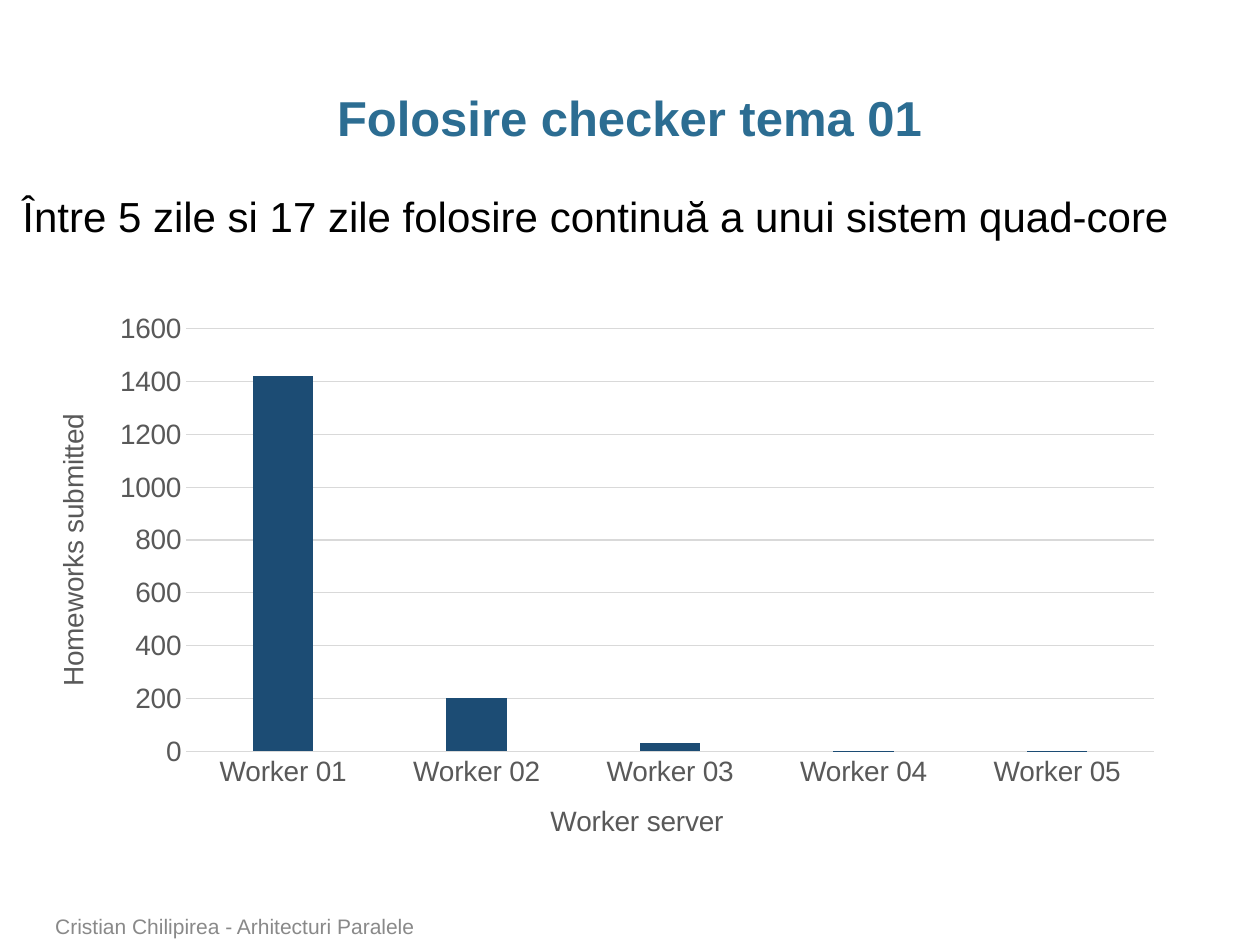
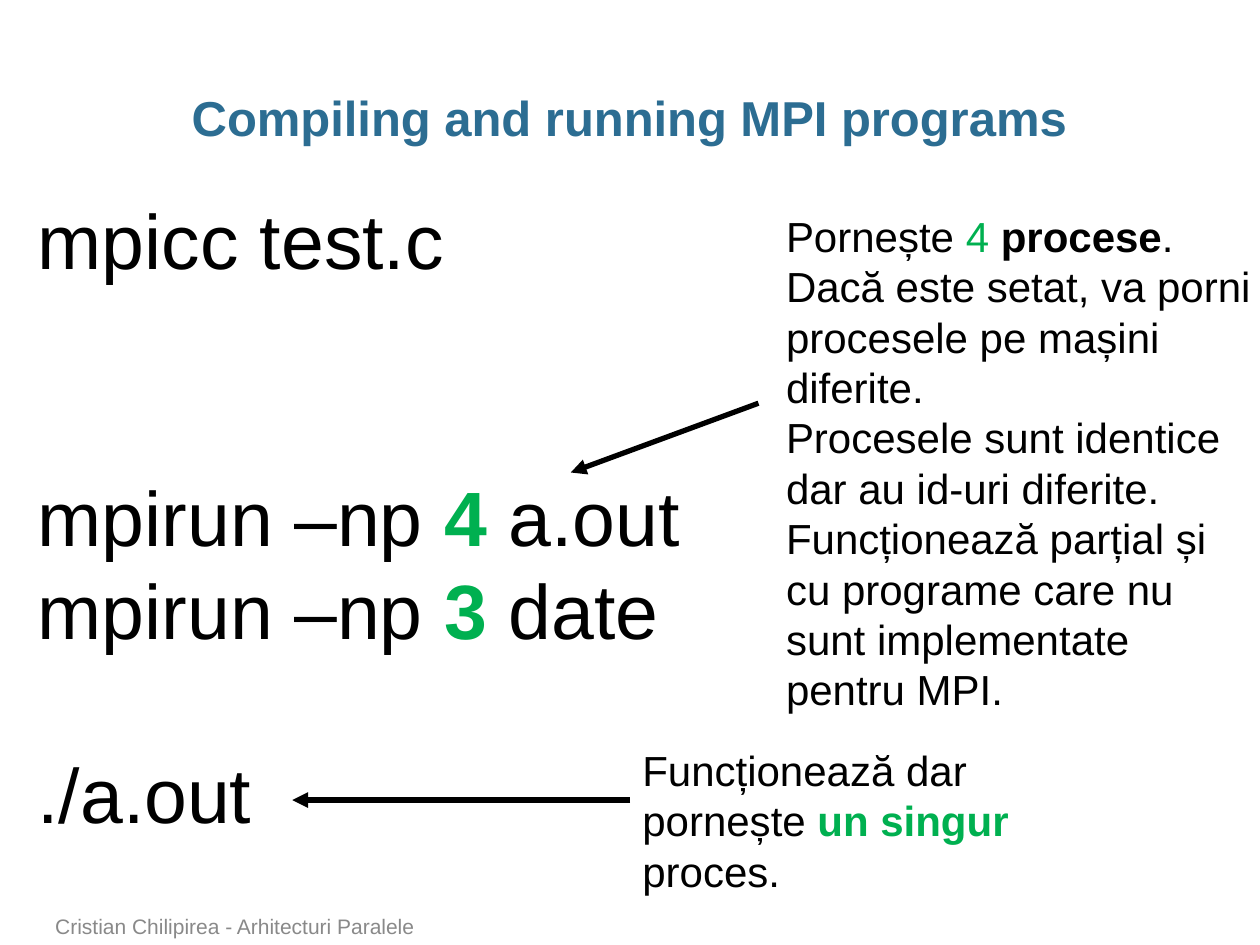
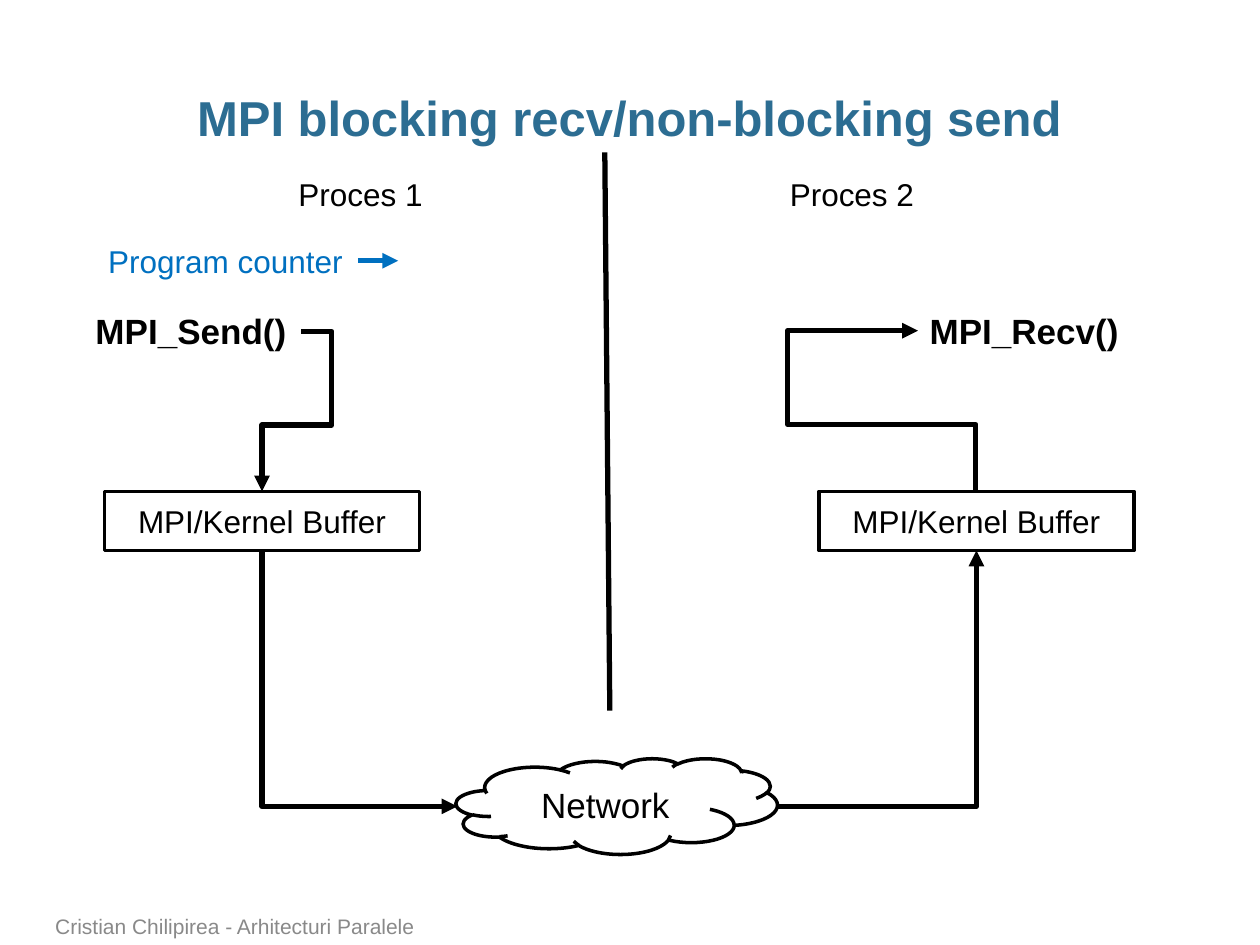
from lxml import etree
from pptx import Presentation
from pptx.chart.data import CategoryChartData
from pptx.dml.color import RGBColor
from pptx.enum.chart import XL_CHART_TYPE, XL_TICK_MARK
from pptx.enum.shapes import MSO_CONNECTOR, MSO_SHAPE
from pptx.enum.text import MSO_ANCHOR, PP_ALIGN
from pptx.oxml.ns import qn
from pptx.util import Inches, Pt

STRAIGHT, ELBOW = MSO_CONNECTOR.STRAIGHT, MSO_CONNECTOR.ELBOW
RECTANGLE, CLOUD = MSO_SHAPE.RECTANGLE, MSO_SHAPE.CLOUD
TOP, MIDDLE, BOTTOM = MSO_ANCHOR.TOP, MSO_ANCHOR.MIDDLE, MSO_ANCHOR.BOTTOM
LEFT, CENTER = PP_ALIGN.LEFT, PP_ALIGN.CENTER
CLUSTERED = XL_CHART_TYPE.COLUMN_CLUSTERED
NO_TICK = XL_TICK_MARK.NONE
RIGHT_SIDE = 3

FONT = "Arial"
COLORS = {
    name: RGBColor.from_string(value)
    for name, value in {
        "title": "2C6D92",
        "footer": "898989",
        "text": "000000",
        "number": "00B050",
        "counter": "0070C0",
        "bar": "1C4C74",
        "axis": "595959",
        "grid": "D9D9D9",
    }.items()
}

presentation = Presentation()
presentation.slide_width, presentation.slide_height = Inches(10), Inches(7.5)
COLUMN = presentation.slide_width / 100
ROW = presentation.slide_height / 75


def write(shape, paragraphs, size, color="text", bold=False, align=LEFT, anchor=TOP, wrap=True):
    frame = shape.text_frame
    frame.word_wrap = wrap
    frame.vertical_anchor = anchor
    frame.text = "\n".join("".join(text for text, *_ in runs) for runs in paragraphs)
    for paragraph, runs in zip(frame.paragraphs, paragraphs):
        paragraph.alignment = align
        paragraph.text = ""
        for text, *style in runs:
            run = paragraph.add_run()
            run.text = text
            run_color, run_bold = style or (color, bold)
            run.font.name, run.font.size, run.font.bold = FONT, Pt(size), run_bold
            run.font.color.rgb = COLORS[run_color]
    return shape


def draw_line(slide, start, end, color="text", arrow=True, preset=None, turn=0, bends=()):
    line = slide.shapes.add_connector(
        ELBOW if preset else STRAIGHT,
        int(start[0] * COLUMN), int(start[1] * ROW), int(end[0] * COLUMN), int(end[1] * ROW),
    )
    line.line.color.rgb, line.line.width = COLORS[color], Pt(3)
    properties = line._element.spPr
    if arrow:
        etree.SubElement(properties.find(qn("a:ln")), qn("a:tailEnd"), type="triangle")
    etree.SubElement(properties, qn("a:effectLst"))
    if preset:
        geometry = properties.find(qn("a:prstGeom"))
        geometry.set("prst", preset)
        properties.find(qn("a:xfrm")).set("rot", str(turn * 60000))
        for number, bend in enumerate(bends, 1):
            etree.SubElement(
                geometry.find(qn("a:avLst")), qn("a:gd"), name=f"adj{number}", fmla=f"val {bend}"
            )
    return line


slides = []
for title in (
    "Folosire checker tema 01",
    "Compiling and running MPI programs",
    "MPI blocking recv/non-blocking send",
):
    slide = presentation.slides.add_slide(presentation.slide_layouts[6])
    slides.append(slide)
    heading = slide.shapes.add_textbox(
        int(3.4 * COLUMN), int(6.8 * ROW), int(93.1 * COLUMN), int(5 * ROW)
    )
    write(heading, [[(title,)]], 28, "title", True, CENTER)
    heading.text_frame.margin_left = heading.text_frame.margin_right = 0
    heading.text_frame.paragraphs[0].line_spacing = 0.95
    footer = slide.shapes.add_textbox(
        int(3.4 * COLUMN), int(72.2 * ROW), int(73.7 * COLUMN), int(2.8 * ROW)
    )
    write(footer, [[("Cristian Chilipirea - Arhitecturi Paralele",)]], 12, "footer", anchor=BOTTOM)

usage, running, blocking = slides

GREEN_BOLD = ("number", True)
commands = [
    [("mpicc test.c",)],
    [("mpirun –np ",), ("4 ", *GREEN_BOLD), ("a.out",)],
    [("mpirun –np ",), ("3", *GREEN_BOLD), (" date",)],
    [("./a.out",)],
]
parallel_note = [
    [("Pornește ",), ("4 ", "number", False), ("procese", "text", True), (".",)],
    [("Dacă este setat, va porni procesele pe mașini diferite.",)],
    [("Procesele sunt identice dar au id-uri diferite.",)],
    [("Funcționează parțial și cu programe care nu sunt implementate pentru MPI.",)],
]
single_note = [[("Funcționează dar pornește ",), ("un singur", *GREEN_BOLD), (" proces.",)]]

texts = {}
for name, slide, (left, top, width, height), paragraphs, size, color, bold, wrap in (
    ("usage", usage, (0.8, 14.6, 94, 5),
     [[("Între 5 zile si 17 zile folosire continuă a unui sistem quad-core",)]],
     24, "text", False, False),
    ("commands", running, (2, 14.8, 53.5, 52.8), commands, 44, "text", False, False),
    ("parallel", running, (61.4, 16.2, 39, 41.4), parallel_note, 24, "text", False, True),
    ("single", running, (50, 58.6, 32.3, 13.1), single_note, 24, "text", False, True),
    ("send", blocking, (6.6, 24.1, 17.3, 4.4), [[("MPI_Send()",)]], 20, "text", True, False),
    ("receive", blocking, (72.8, 24.1, 17.1, 4.4), [[("MPI_Recv()",)]], 20, "text", True, False),
    ("process 1", blocking, (22.7, 13.4, 12, 4), [[("Proces 1",)]], 18, "text", False, False),
    ("process 2", blocking, (61.7, 13.4, 12, 4), [[("Proces 2",)]], 18, "text", False, False),
    ("counter", blocking, (7.6, 18.7, 20.8, 4), [[("Program counter",)]],
     18, "counter", False, False),
):
    box = slide.shapes.add_textbox(
        int(left * COLUMN), int(top * ROW), int(width * COLUMN), int(height * ROW)
    )
    texts[name] = write(box, paragraphs, size, color, bold, wrap=wrap)

COMMAND_LINE = 52.8
for index, skipped_lines in ((1, 2), (3, 1)):
    command = texts["commands"].text_frame.paragraphs[index]
    command.space_before = Pt(skipped_lines * COMMAND_LINE)

chart_data = CategoryChartData()
chart_data.categories = [f"Worker {number:02}" for number in range(1, 6)]
chart_data.add_series("Series 1", (1420, 200, 30, 2, 2))
chart = usage.shapes.add_chart(
    CLUSTERED,
    int(2.2 * COLUMN), int(24 * ROW), int(91.2 * COLUMN), int(44.7 * ROW), chart_data,
).chart
chart.has_legend = chart.has_title = False
chart.font.name, chart.font.size = FONT, Pt(16)
plot = chart.plots[0]
plot.gap_width, plot.overlap, plot.vary_by_categories = 219, -27, False
bars = plot.series[0].format.fill
bars.solid()
bars.fore_color.rgb = COLORS["bar"]
for axis, title in (
    (chart.category_axis, "Worker server"),
    (chart.value_axis, "Homeworks submitted"),
):
    axis.major_tick_mark = axis.minor_tick_mark = NO_TICK
    axis.axis_title.text_frame.text = title
    title_font = axis.axis_title.text_frame.paragraphs[0].runs[0].font
    title_font.bold = False
    for font in (title_font, axis.tick_labels.font):
        font.name, font.size = FONT, Pt(16)
        font.color.rgb = COLORS["axis"]
chart.value_axis.format.line.fill.background()
for line in (chart.category_axis.format.line, chart.value_axis.major_gridlines.format.line):
    line.color.rgb, line.width = COLORS["grid"], Pt(0.75)

draw_line(running, (60.2, 32), (45.3, 37.5))
draw_line(running, (50, 63.5), (23.2, 63.5))

for preset, (left, top, width, height), label, size in (
    (RECTANGLE, (8.3, 39, 25, 4.7), "MPI/Kernel Buffer", 18),
    (CLOUD, (36.2, 60.2, 25.5, 7.6), "Network", 20),
    (RECTANGLE, (65, 39, 25, 4.7), "MPI/Kernel Buffer", 18),
):
    shape = blocking.shapes.add_shape(
        preset, int(left * COLUMN), int(top * ROW), int(width * COLUMN), int(height * ROW)
    )
    shape.shadow.inherit = False
    shape.fill.background()
    shape.line.color.rgb, shape.line.width = COLORS["text"], Pt(2)
    write(shape, [[(label,)]], size, align=CENTER, anchor=MIDDLE)

draw_line(blocking, (48.4, 56.4), (48, 12.1), arrow=False)
counter_arrow = draw_line(blocking, (28.4, 20.7), (31.6, 20.7), "counter")
counter_arrow.begin_connect(texts["counter"], RIGHT_SIDE)
for start, end, preset, turn, bends in (
    ((23.9, 26.3), (20.8, 39), "bentConnector4", 0, (-78900, 58600)),
    ((38.7, 46.1), (18.4, 61.6), "bentConnector2", 270, ()),
    ((61.6, 64), (77.5, 43.7), "bentConnector2", 0, ()),
    ((68.8, 34.9), (81.5, 30.3), "bentConnector4", 270, (41400, 324500)),
):
    draw_line(blocking, start, end, preset=preset, turn=turn, bends=bends)

presentation.save("out.pptx")
